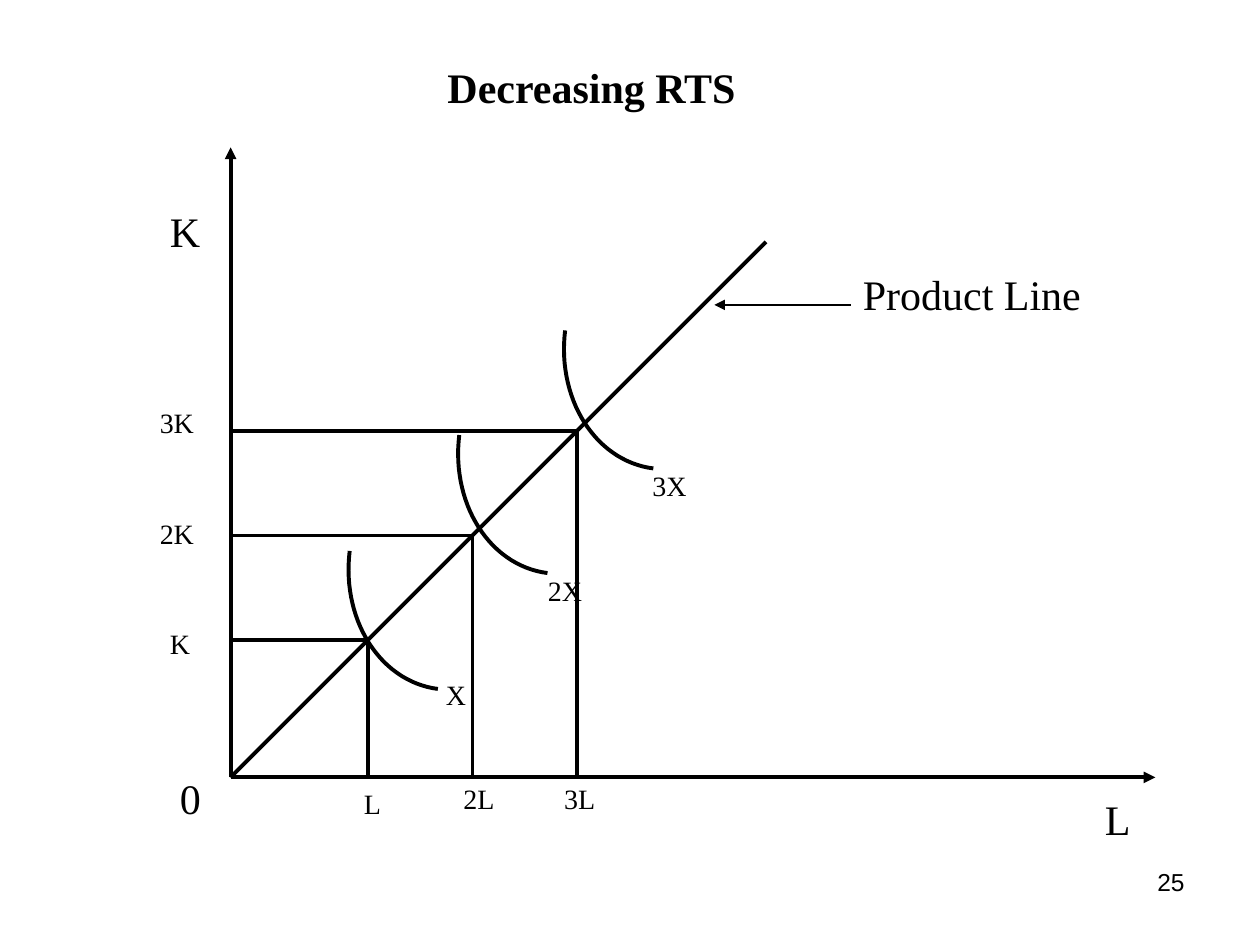
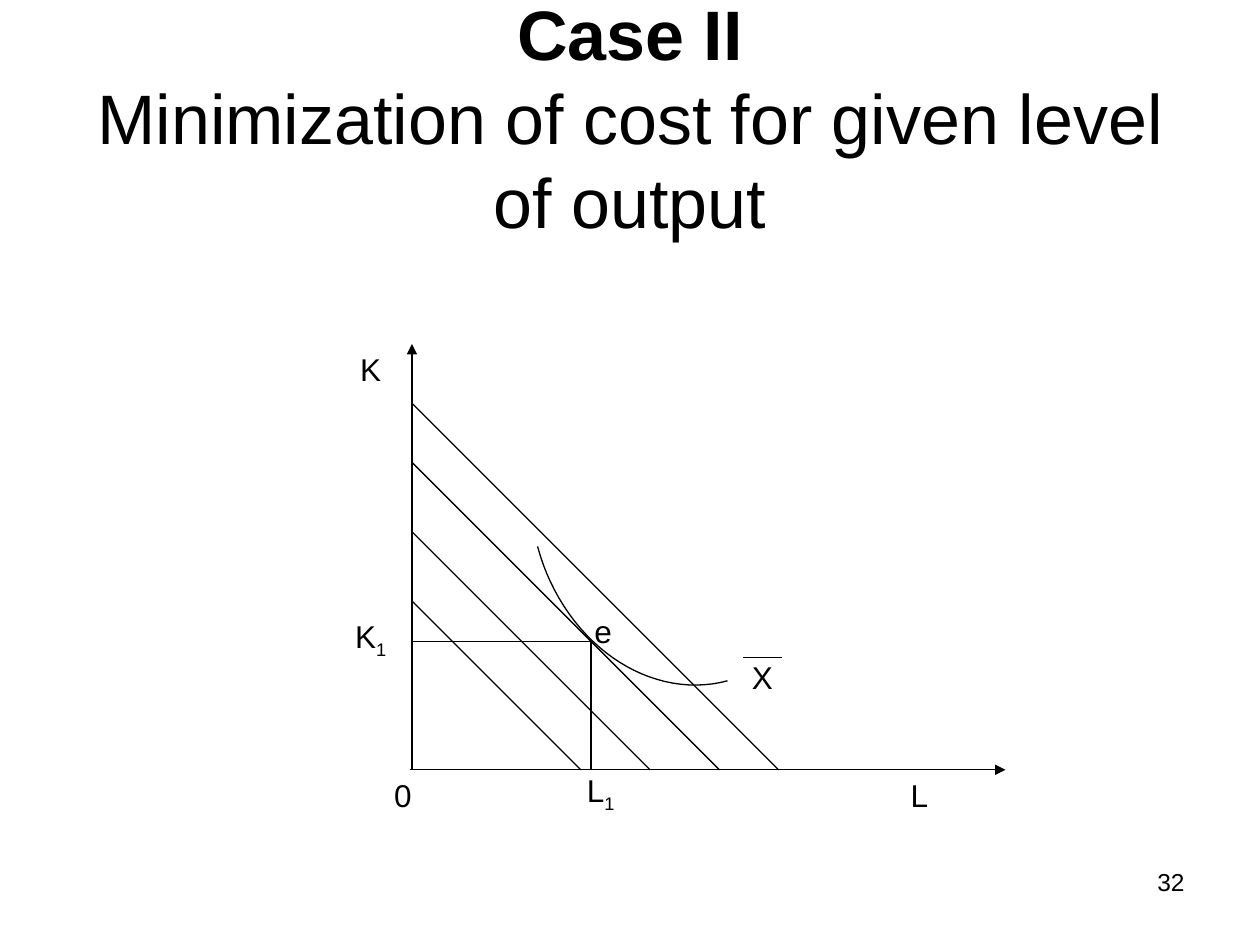
import math
from pptx import Presentation
from pptx import util as u
from pptx.dml.color import RGBColor
from pptx.enum import shapes, text
from pptx.oxml.ns import qn
from lxml import etree

BLACK = RGBColor(0, 0, 0)
SERIF, SANS = "Times New Roman", "Arial"
LEFT, CENTER, RIGHT = text.PP_ALIGN.LEFT, text.PP_ALIGN.CENTER, text.PP_ALIGN.RIGHT
THICK, THIN = 2.25, 0.75


def add_line(s, x1, y1, x2, y2, weight, arrow=False):
    c = s.shapes.add_connector(shapes.MSO_CONNECTOR.STRAIGHT, u.Inches(x1),
                               u.Inches(y1), u.Inches(x2), u.Inches(y2))
    c.line.color.rgb = BLACK
    c.line.width = u.Pt(weight)
    if arrow:
        etree.SubElement(c.line._ln, qn("a:tailEnd"), type="triangle")
    etree.SubElement(c._element.spPr, qn("a:effectLst"))


def add_label(s, words, x, y, w, h, size, font, align=LEFT, grow=True):
    sp = s.shapes.add_textbox(u.Inches(x), u.Inches(y), u.Inches(w), u.Inches(h))
    tf = sp.text_frame
    tf.word_wrap = True
    if grow:
        tf.auto_size = text.MSO_AUTO_SIZE.SHAPE_TO_FIT_TEXT
    tf.text = words
    p = tf.paragraphs[0]
    p.alignment = align
    for r in p.runs:
        r.font.size = u.Pt(size)
        r.font.name = font
        r.font.color.rgb = BLACK
    return sp


prs = Presentation()
prs.slide_width, prs.slide_height = u.Inches(10), u.Inches(7.5)

# Slides with their page numbers
rts, cost = [prs.slides.add_slide(prs.slide_layouts[6]) for _ in range(2)]
for s, number in ((rts, "25"), (cost, "32")):
    add_label(s, number, 7.17, 6.83, 2.33, 0.52, 14, SANS, RIGHT, grow=False)

# Decreasing RTS: title
sp = add_label(rts, "Decreasing RTS", 2.32, 0.44, 4.75, 0.5, 24, SERIF, CENTER)
sp.text_frame.paragraphs[0].runs[0].font.bold = True

# Axes and product line
x0, y0 = 1.83, 6.17
add_line(rts, x0, y0, 9.17, y0, THICK, arrow=True)
add_line(rts, x0, y0, x0, 1.17, THICK, arrow=True)
add_line(rts, x0, y0, 6.08, 1.92, THICK)
add_line(rts, 6.75, 2.42, 5.67, 2.42, THIN, arrow=True)

# Equal input steps along the product line
for x in (2.92, 3.75, 4.58):
    y = x0 + y0 - x
    add_line(rts, x0, y, x, y, THICK)
    add_line(rts, x, y, x, y0, THICK)

# Axis names and product line label
for words, x, y, w in (("K", 1.25, 1.58, 0.5), ("L", 8.67, 6.25, 0.5),
                       ("0", 1.33, 6.08, 0.5), ("Product Line", 6.75, 2.08, 2.33)):
    add_label(rts, words, x, y, w, 0.5, 24, SERIF)

# Input and output levels
for words, x, y in (("3K", 1.17, 3.17), ("2K", 1.17, 4.05), ("K", 1.25, 4.92),
                    ("3X", 5.08, 3.67), ("2X", 4.25, 4.5), ("X", 3.44, 5.33),
                    ("L", 2.79, 6.19), ("2L", 3.58, 6.15), ("3L", 4.38, 6.15)):
    add_label(rts, words, x, y, 0.5, 0.37, 16, SERIF)

# Case II: title
sp = add_label(cost, "Case II\vMinimization of cost for given level of output",
               0.5, 0.3, 9, 1.25, 40, SANS, CENTER, grow=False)
sp.text_frame.vertical_anchor = text.MSO_ANCHOR.MIDDLE
sp.text_frame.paragraphs[0].runs[0].font.bold = True

# Axes
x0, y0 = 3.27, 6.11
add_line(cost, x0, y0, x0, 2.73, THIN, arrow=True)
add_line(cost, x0 - 0.02, y0, 7.98, y0, THIN, arrow=True)

# Isocost lines at 45 degrees
for y in (4.77, 4.22, 3.67, 3.2):
    add_line(cost, x0, y, x0 + y0 - y, y0, THIN)

# Equilibrium point e and the bar over X
add_line(cost, 4.69, 5.09, 4.69, y0, THIN)
add_line(cost, 4.69, 5.09, x0, 5.09, THIN)
add_line(cost, 5.9, 5.22, 6.21, 5.22, THIN)

for words, x, y, w in (("e", 4.62, 4.81, 0.24), ("K", 2.76, 2.73, 0.47),
                       ("0", 3.03, 6.11, 0.24), ("L", 7.13, 6.11, 0.47),
                       ("X", 5.87, 5.17, 0.47)):
    add_label(cost, words, x, y, w, 0.4, 18, SANS)

# Labels with a subscript 1
for words, x, y in (("L", 4.56, 6.07), ("K", 2.72, 4.85)):
    sp = add_label(cost, words, x, y, 0.47, 0.44, 18, SANS)
    r = sp.text_frame.paragraphs[0].add_run()
    r.text = "1"
    r.font.size, r.font.name = u.Pt(18), SANS
    r.font.color.rgb = BLACK
    r.font._element.set("baseline", "-25000")

# Isoquants: turned quarter ellipses
for s, x, y, w, h, turn, weight in ((rts, 2.71, 4.42, 0.83, 1, 187.1, THICK),
                                    (rts, 3.58, 3.5, 0.83, 1, 187.1, THICK),
                                    (rts, 4.42, 2.67, 0.83, 1, 187.1, THICK),
                                    (cost, 4.43, 4.16, 1.18, 1.42, 165, THIN)):
    angles = [math.radians(3 * i) for i in range(31)]
    points = [(u.Inches(x + w * math.sin(a)), u.Inches(y + h * (1 - math.cos(a))))
              for a in angles]
    fb = s.shapes.build_freeform(*points[0])
    fb.add_line_segments(points[1:], close=False)
    sp = fb.convert_to_shape()
    sp.rotation = turn
    sp.shadow.inherit = False
    sp.fill.background()
    sp.line.color.rgb = BLACK
    sp.line.width = u.Pt(weight)

prs.save("out.pptx")
